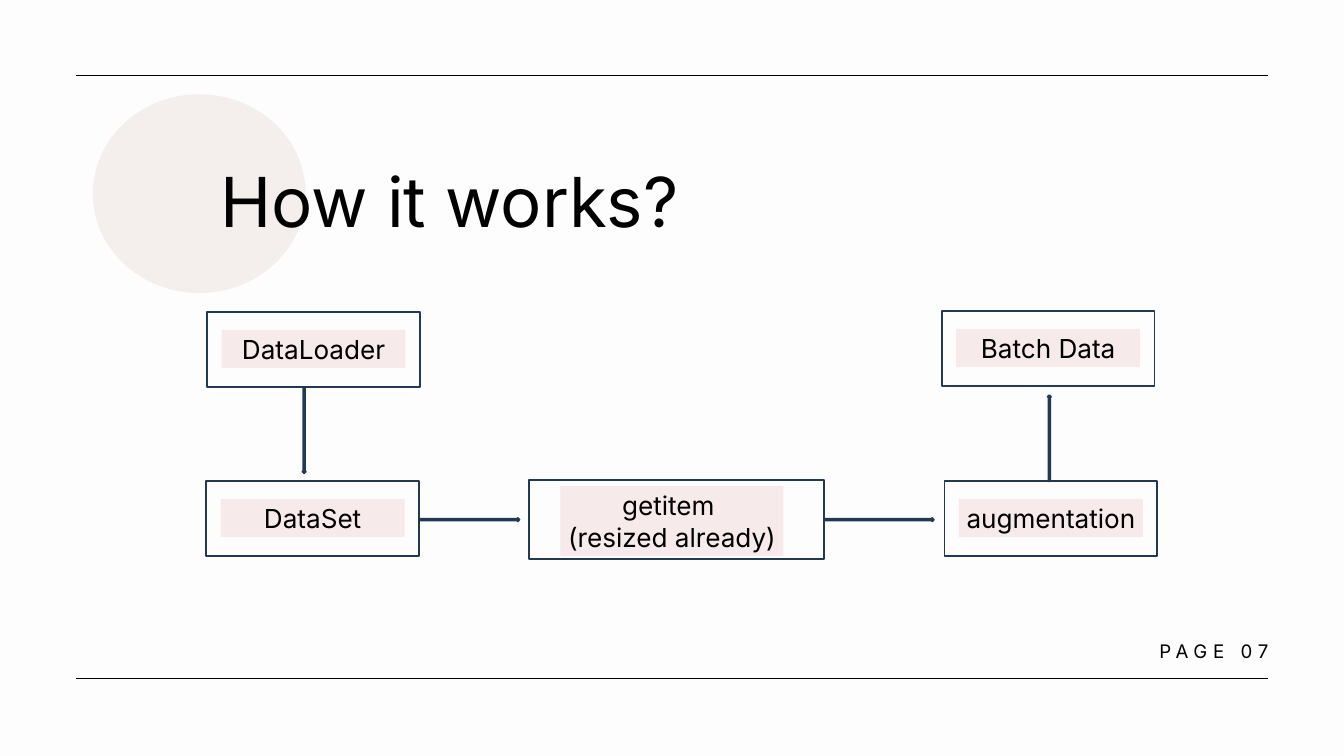
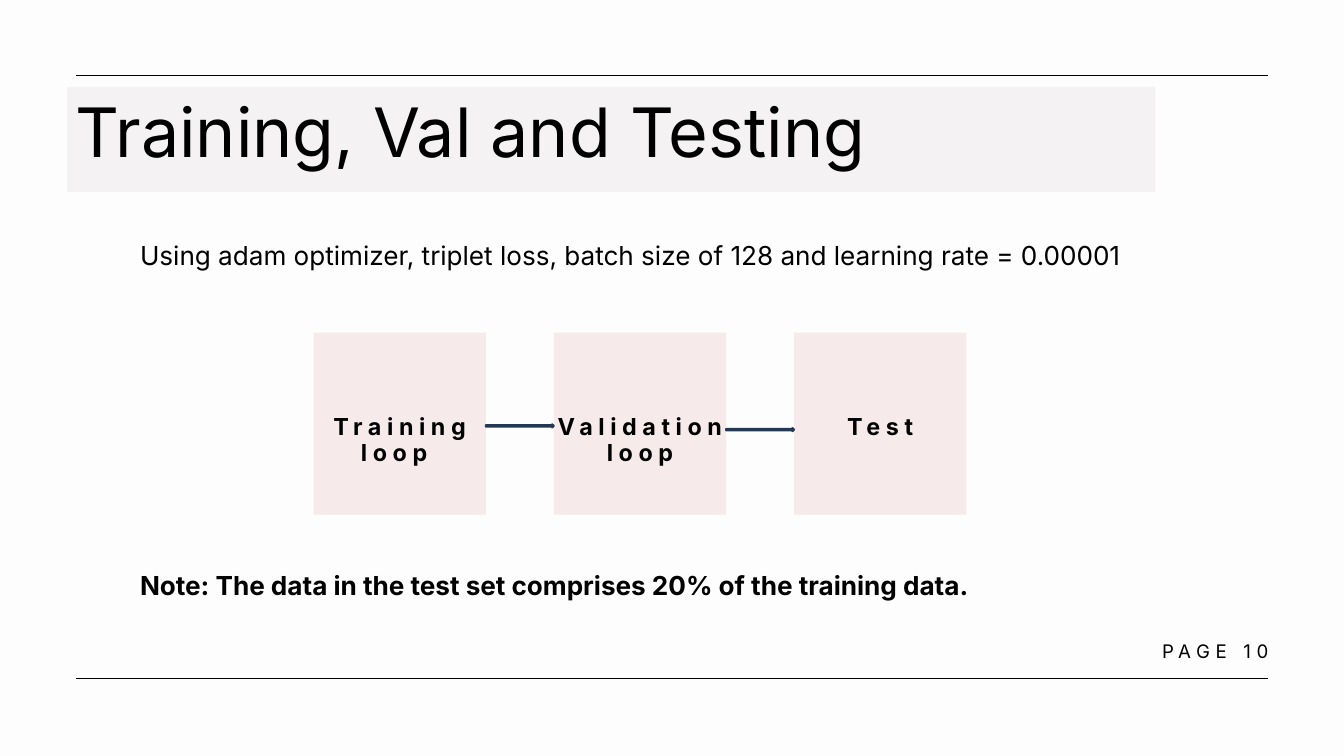
from lxml import etree
from pptx import Presentation
from pptx.dml.color import RGBColor
from pptx.enum.shapes import MSO_CONNECTOR, MSO_SHAPE
from pptx.enum.text import MSO_ANCHOR, MSO_AUTO_SIZE, PP_ALIGN
from pptx.oxml.ns import qn
from pptx.util import Pt

RECT, OVAL = MSO_SHAPE.RECTANGLE, MSO_SHAPE.OVAL
DOWN, RIGHT, UP = MSO_SHAPE.DOWN_ARROW, MSO_SHAPE.RIGHT_ARROW, MSO_SHAPE.UP_ARROW
STRAIGHT = MSO_CONNECTOR.STRAIGHT
TOP, GROW = MSO_ANCHOR.TOP, MSO_AUTO_SIZE.SHAPE_TO_FIT_TEXT
LEFT_ALIGN, CENTER, RIGHT_ALIGN = PP_ALIGN.LEFT, PP_ALIGN.CENTER, PP_ALIGN.RIGHT

# Shared look
FONT = "Inter"
PAPER, BLACK, NAVY, BLUE = "FDFDFD", "000000", "233953", "4F81BD"
ROSE, SAND, BAND = "F6EAEA", "F4EFED", "F4F2F2"
SLIDE_W, SLIDE_H = 1440, 810
MARGIN = 81
RULES_Y = (727, 81)
BODY_SIZE = 28
ARROW_THICK = 3.6

# Content: data flow (frame left, top, width, height; label offset, width, height)
SMALL_FRAME, SMALL_LABEL = (228, 81), (15.5, 19.5, 197, 41)
WIDE_FRAME, WIDE_LABEL = (316, 85), (33.5, 7, 239, 75)
STEPS = [
    (["DataLoader"], (222, 334), SMALL_FRAME, SMALL_LABEL),
    (["DataSet"], (221, 515), SMALL_FRAME, SMALL_LABEL),
    (["getitem ", "(resized already)"], (567, 514), WIDE_FRAME, WIDE_LABEL),
    (["augmentation"], (1012, 515), SMALL_FRAME, SMALL_LABEL),
    (["Batch Data"], (1009, 333), SMALL_FRAME, SMALL_LABEL),
]
# Arrow direction, left, top, length
FLOW_ARROWS = [(DOWN, 324, 415, 92), (RIGHT, 450, 555, 106.5),
               (RIGHT, 883.5, 555, 117), (UP, 1122.5, 423.5, 92)]

# Content: training phases
PHASES = [["Training", "loop "], ["Validation", "loop"], ["Test"]]
PHASE_LEFT, PHASE_TOP, PHASE_W, PHASE_H, PHASE_PITCH = 336, 356.5, 184.5, 195, 257.4
PHASE_TEXT_TOP, PHASE_LEADING = 443.5, 28
PHASE_ARROWS_Y = (454.5, 458.5)
BODY_LINES = [
    ("Using adam optimizer, triplet loss, batch size of 128 and learning rate = 0.00001",
     255.5, False),
    ("Note: The data in the test set comprises 20% of the training data.", 608.5, True),
]


def color(hex_string):
    return RGBColor.from_string(hex_string)


def write(shape, lines, size=BODY_SIZE, bold=False, align=LEFT_ALIGN,
          leading=None, tracking=0, inset=None):
    frame = shape.text_frame
    frame.word_wrap, frame.auto_size, frame.vertical_anchor = True, GROW, TOP
    if inset is not None:
        frame.margin_left = frame.margin_right = Pt(inset)
        frame.margin_top = frame.margin_bottom = Pt(inset)
    for i, line in enumerate(lines):
        paragraph = frame.add_paragraph() if i else frame.paragraphs[0]
        paragraph.alignment = align
        if leading:
            paragraph.line_spacing = Pt(leading)
        run = paragraph.add_run()
        run.text = line
        run.font.name, run.font.size, run.font.bold = FONT, Pt(size), bold
        run.font.color.rgb = color(BLACK)
        if tracking:
            run.font._element.set("spc", str(tracking * 100))


def add_text(slide, lines, left, top, width, height, **style):
    box = slide.shapes.add_textbox(Pt(left), Pt(top), Pt(width), Pt(height))
    write(box, lines, inset=0, **style)


def add_block(slide, preset, left, top, width, height, fill=None, line=None):
    block = slide.shapes.add_shape(preset, Pt(left), Pt(top), Pt(width), Pt(height))
    block.shadow.inherit = False
    if fill:
        block.fill.solid()
        block.fill.fore_color.rgb = color(fill)
    else:
        block.fill.background()
    if line:
        block.line.color.rgb = color(line)
        block.line.width = Pt(2)
    else:
        block.line.fill.background()
    return block


def add_arrow(slide, direction, left, top, length):
    size = (length, ARROW_THICK) if direction == RIGHT else (ARROW_THICK, length)
    add_block(slide, direction, left, top, *size, fill=BLUE, line=NAVY)


def add_page(deck, number):
    slide = deck.slides.add_slide(deck.slide_layouts[6])
    slide.background.fill.solid()
    slide.background.fill.fore_color.rgb = color(PAPER)
    for y in RULES_Y:
        rule = slide.shapes.add_connector(STRAIGHT, Pt(MARGIN), Pt(y),
                                          Pt(SLIDE_W - MARGIN), Pt(y))
        rule.line.color.rgb = color(BLACK)
        rule.line.width = Pt(1.5)
        etree.SubElement(rule._element.spPr, qn("a:effectLst"))
    add_text(slide, [f"PAGE {number}"], 1126, 682, 233, 26, size=20,
             align=RIGHT_ALIGN, leading=28, tracking=6)
    return slide


def build_flow(deck):
    slide = add_page(deck, "07")
    # Title over a circle
    add_block(slide, OVAL, 99.5, 101, 228, 213, fill=SAND)
    add_text(slide, ["How it works?"], 236, 155, 722, 96, size=73.8, leading=103.3)
    # Framed steps
    for lines, (left, top), frame, (dx, dy, width, height) in STEPS:
        add_block(slide, RECT, left, top, *frame, line=NAVY)
        label = add_block(slide, RECT, left + dx, top + dy, width, height, fill=ROSE)
        write(label, lines, align=CENTER)
    for arrow in FLOW_ARROWS:
        add_arrow(slide, *arrow)


def build_training(deck):
    slide = add_page(deck, "10")
    # Title on a band
    add_block(slide, RECT, 72, 93, 1166, 113, fill=BAND)
    add_text(slide, ["Training, Val and Testing"], MARGIN, 134.5, 924, 55,
             size=73, leading=49)
    # Row of phases, joined by arrows
    lefts = [PHASE_LEFT + i * PHASE_PITCH for i in range(len(PHASES))]
    for lines, left in zip(PHASES, lefts):
        add_block(slide, RECT, left, PHASE_TOP, PHASE_W, PHASE_H, fill=ROSE)
        add_text(slide, lines, left, PHASE_TEXT_TOP, PHASE_W,
                 PHASE_LEADING * len(lines), size=25, bold=True, align=CENTER,
                 leading=PHASE_LEADING, tracking=6)
    for left, y in zip(lefts, PHASE_ARROWS_Y):
        add_arrow(slide, RIGHT, left + PHASE_W, y, PHASE_PITCH - PHASE_W)
    # Settings and note
    for line, top, bold in BODY_LINES:
        add_text(slide, [line], 150, top, 1158.5, 33, bold=bold, leading=35)


def main():
    deck = Presentation()
    deck.slide_width, deck.slide_height = Pt(SLIDE_W), Pt(SLIDE_H)
    build_flow(deck)
    build_training(deck)
    deck.save("out.pptx")


if __name__ == "__main__":
    main()
